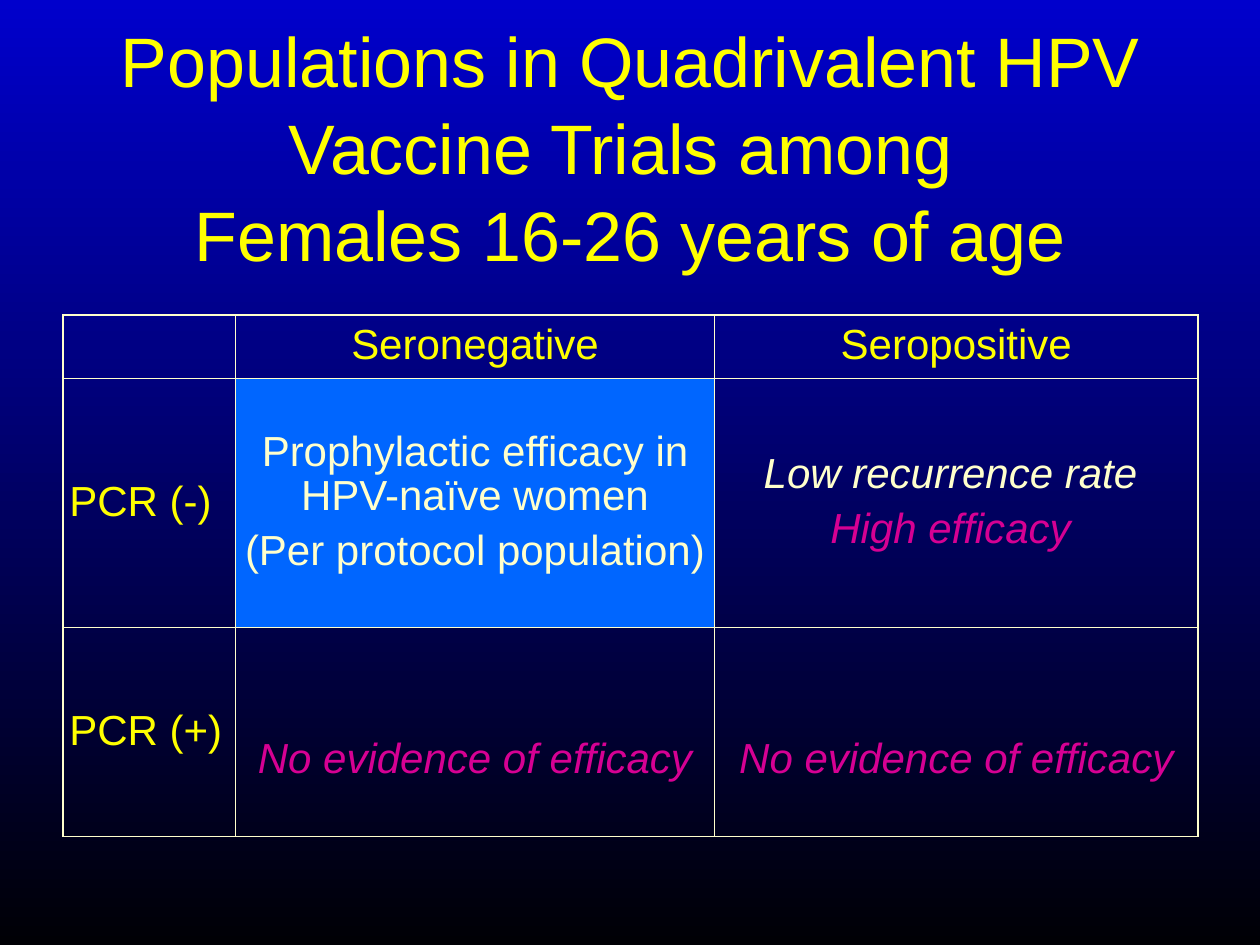
from lxml import etree
from pptx import Presentation
from pptx.dml.color import RGBColor
from pptx.enum.text import MSO_ANCHOR, MSO_AUTO_SIZE, PP_ALIGN
from pptx.oxml.ns import qn
from pptx.util import Inches, Pt

LEFT, CENTER = PP_ALIGN.LEFT, PP_ALIGN.CENTER
MIDDLE = MSO_ANCHOR.MIDDLE
COLORS = {
    "top": "0000CC", "bottom": "000005", "yellow": "FFFF00",
    "cream": "FFFFCC", "pink": "D60093", "blue": "0066FF",
}
THIN, THICK = 0.45, 1.08


def write(paragraph, text, size=24, color="yellow", italic=False,
          align=CENTER, spacing=0.95, before=0):
    paragraph.text = text
    paragraph.alignment = align
    paragraph.line_spacing = spacing
    paragraph.space_before = Pt(before)
    for run in paragraph.runs:
        run.font.name = "Arial"
        run.font.size = Pt(size)
        run.font.bold = False
        run.font.italic = italic
        run.font.color.rgb = RGBColor.from_string(COLORS[color])


def add_border(cell, side, width):
    properties = cell._tc.get_or_add_tcPr()
    line = etree.SubElement(properties, qn(f"a:ln{side}"), w=str(Pt(width)))
    fill = etree.SubElement(line, qn("a:solidFill"))
    etree.SubElement(fill, qn("a:srgbClr"), val=COLORS["cream"])


presentation = Presentation()
presentation.slide_width, presentation.slide_height = Inches(10), Inches(7.5)
slide = presentation.slides.add_slide(presentation.slide_layouts[5])

# Background gradient, top to bottom
background = slide.background.fill
background.gradient()
background.gradient_angle = 270
for stop, name in zip(background.gradient_stops, ("top", "bottom")):
    stop.color.rgb = RGBColor.from_string(COLORS[name])

# Title
title = slide.shapes.title
title.left, title.top = Inches(0.5), Inches(0.75)
title.width, title.height = Inches(9), Inches(0.8)
title.text_frame.word_wrap = True
title.text_frame.auto_size = MSO_AUTO_SIZE.NONE
title.text_frame.vertical_anchor = MIDDLE
write(title.text_frame.paragraphs[0],
      "Populations in Quadrivalent HPV Vaccine Trials among \vFemales 16-26 years of age",
      size=40, spacing=1.04)

# Table: each cell is a list of (text, color, italic)
no_evidence = [("No evidence of efficacy", "pink", True)]
rows = [
    [[], [("Seronegative", "yellow", False)], [("Seropositive", "yellow", False)]],
    [
        [("PCR (-)", "yellow", False)],
        [("Prophylactic efficacy in HPV-naïve women", "cream", False),
         ("(Per protocol population)", "cream", False)],
        [("Low recurrence rate ", "cream", True), ("High efficacy ", "pink", True)],
    ],
    [[("PCR (+)", "yellow", False)], no_evidence, no_evidence],
]
column_widths = [1.37, 3.8, 3.84]
row_heights = [0.5, 1.98, 1.66]
last_row, last_column = len(rows) - 1, len(column_widths) - 1

table = slide.shapes.add_table(
    len(rows), len(column_widths), Inches(0.5), Inches(2.5),
    Inches(sum(column_widths)), Inches(sum(row_heights))).table
table.first_row = table.horz_banding = False
for column, width in zip(table.columns, column_widths):
    column.width = Inches(width)
for row, height in zip(table.rows, row_heights):
    row.height = Inches(height)

for row_index, row_content in enumerate(rows):
    for column_index, content in enumerate(row_content):
        cell = table.cell(row_index, column_index)
        cell.vertical_anchor = MIDDLE
        cell.margin_left = cell.margin_right = Inches(0.05)
        cell.margin_top = cell.margin_bottom = Inches(0.05)
        if content is no_evidence:
            cell.margin_top = Inches(0.5)  # sits below the row label

        # Thick outer frame, thin inner rules
        outer_sides = {"L": column_index == 0, "R": column_index == last_column,
                       "T": row_index == 0, "B": row_index == last_row}
        for side, is_outer in outer_sides.items():
            add_border(cell, side, THICK if is_outer else THIN)

        if (row_index, column_index) == (1, 1):
            cell.fill.solid()
            cell.fill.fore_color.rgb = RGBColor.from_string(COLORS["blue"])
        else:
            cell.fill.background()

        text_frame = cell.text_frame
        for number, (text, color, italic) in enumerate(content):
            paragraph = text_frame.add_paragraph() if number else text_frame.paragraphs[0]
            write(paragraph, text, color=color, italic=italic,
                  align=CENTER if column_index else LEFT, before=6 if number else 0)

presentation.save("out.pptx")
